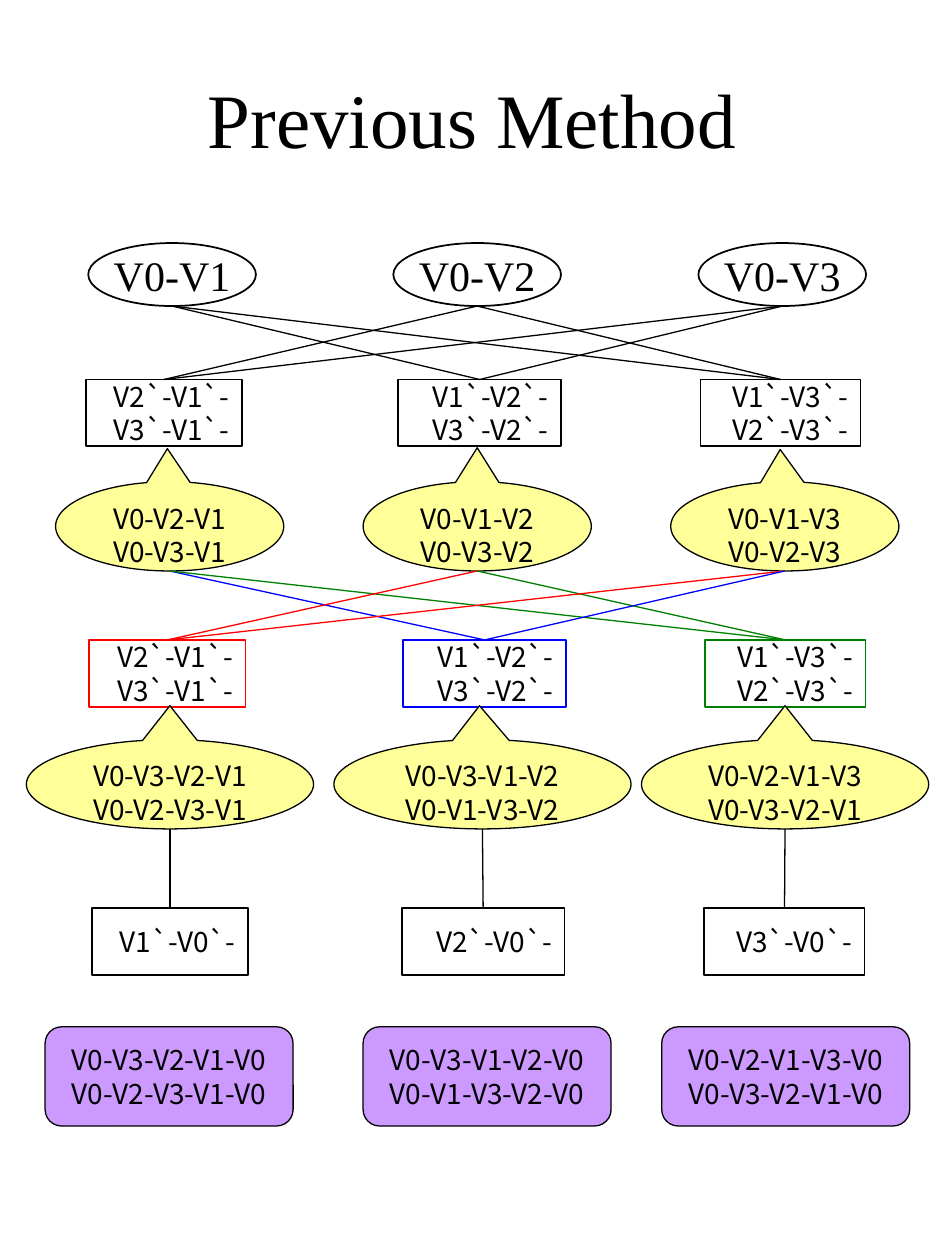
from pptx import Presentation
from pptx.dml.color import RGBColor
from pptx.enum.shapes import MSO_CONNECTOR, MSO_SHAPE
from pptx.enum.text import MSO_ANCHOR, PP_ALIGN
from pptx.oxml.ns import qn
from pptx.util import Cm, Pt
from lxml.etree import SubElement

BLACK = RGBColor(0x00, 0x00, 0x00)
RED = RGBColor(0xFF, 0x00, 0x00)
BLUE = RGBColor(0x00, 0x00, 0xFF)
GREEN = RGBColor(0x00, 0x80, 0x00)
YELLOW = RGBColor(0xFF, 0xFF, 0x99)
PURPLE = RGBColor(0xCC, 0x99, 0xFF)
SERIF, SANS = "Times New Roman", "Noto Sans CJK KR"

TITLE = "Previous Method"
STARTS = ["V0-V1", "V0-V2", "V0-V3"]
STEPS = ["V2`-V1`-\nV3`-V1`-", "V1`-V2`-\nV3`-V2`-", "V1`-V3`-\nV2`-V3`-"]
SECOND_PATHS = ["V0-V2-V1\nV0-V3-V1", "V0-V1-V2\nV0-V3-V2", "V0-V1-V3\nV0-V2-V3"]
THIRD_PATHS = ["V0-V3-V2-V1\nV0-V2-V3-V1", "V0-V3-V1-V2\nV0-V1-V3-V2",
               "V0-V2-V1-V3\nV0-V3-V2-V1"]
RETURNS = ["V1`-V0`-", "V2`-V0`-", "V3`-V0`-"]
TOURS = ["V0-V3-V2-V1-V0\nV0-V2-V3-V1-V0", "V0-V3-V1-V2-V0\nV0-V1-V3-V2-V0",
         "V0-V2-V1-V3-V0\nV0-V3-V2-V1-V0"]

STEP_WIDTHS = [3.15, 3.28, 3.23]
STEP_COLOURS = [RED, BLUE, GREEN]
PLAIN = [BLACK] * 3

START_STYLE = {"kind": MSO_SHAPE.OVAL, "weight": 1, "font": SERIF, "size": 24}
STEP_STYLE = {"kind": MSO_SHAPE.RECTANGLE, "weight": 1, "align": PP_ALIGN.RIGHT}
PATH_STYLE = {"kind": MSO_SHAPE.OVAL_CALLOUT, "fill": YELLOW, "turned": True}
TOUR_STYLE = {"kind": MSO_SHAPE.ROUNDED_RECTANGLE, "fill": PURPLE}


def write(frame, text, font, size, align):
    frame.text = text
    for paragraph in frame.paragraphs:
        paragraph.alignment = align
        for name, value in {"name": font, "size": Pt(size)}.items():
            setattr(paragraph.font, name, value)
        paragraph.font.color.rgb = BLACK


def add_node(text, left, top, width, height, colour, tail, kind, weight=0.75,
             fill=None, font=SANS, size=16, align=PP_ALIGN.CENTER, turned=False):
    node = slide.shapes.add_shape(kind, Cm(left), Cm(top), Cm(width), Cm(height))
    node.shadow.inherit = False
    if fill is None:
        node.fill.background()
    else:
        node.fill.solid()
        node.fill.fore_color.rgb = fill
    node.line.color.rgb = colour
    node.line.width = Pt(weight)
    frame = node.text_frame
    frame.word_wrap = turned
    frame.vertical_anchor = MSO_ANCHOR.TOP if turned else MSO_ANCHOR.MIDDLE
    write(frame, text, font, size, align)
    if turned:
        node.rotation = 180
        node.element.txBody.find(qn("a:bodyPr")).set("rot", "10800000")
        node.adjustments[0], node.adjustments[1] = tail
    return node


def add_row(texts, lefts, top, widths, height, style, colours=PLAIN, tails=PLAIN):
    return [add_node(text, left, top, width, height, colour, tail, **style)
            for text, left, width, colour, tail in zip(texts, lefts, widths, colours, tails)]


def link(source, target, colour):
    x, y = source.left + source.width // 2, source.top + source.height
    line = slide.shapes.add_connector(MSO_CONNECTOR.STRAIGHT, x, y, x, y)
    line.end_connect(target, 0)
    line.line.color.rgb = colour
    line.line.width = Pt(0.75)
    SubElement(line.element.spPr, qn("a:effectLst"))


def cross_link(sources, targets, colours=PLAIN):
    for i, source in enumerate(sources):
        for j, target in enumerate(targets):
            if i != j:
                link(source, target, colours[j])


def columns(first, pitch):
    return [first + pitch * i for i in range(3)]


deck = Presentation()
deck.slide_width, deck.slide_height = Cm(19.05), Cm(25.4)
slide = deck.slides.add_slide(deck.slide_layouts[6])

starts = add_row(STARTS, columns(1.78, 6.15), 4.9, [3.38] * 3, 1.27, START_STYLE)
first_steps = add_row(STEPS, [1.73, 8.03, 14.12], 7.65, STEP_WIDTHS, 1.35, STEP_STYLE)
cross_link(starts, first_steps)

second_paths = add_row(SECOND_PATHS, columns(1.12, 6.2), 9.71, [4.6] * 3, 1.8, PATH_STYLE,
                       tails=[(0.01, 0.87), (0, 0.88), (0.02, 0.86)])
second_steps = add_row(STEPS, [1.8, 8.13, 14.22], 12.9, STEP_WIDTHS, 1.35, STEP_STYLE,
                       STEP_COLOURS)
cross_link(second_paths, second_steps, STEP_COLOURS)

third_paths = add_row(THIRD_PATHS, columns(0.53, 6.2), 14.91, [5.79, 5.99, 5.79], 1.8,
                      PATH_STYLE, tails=[(0, 0.88), (0.01, 0.88), (0, 0.88)])
returns = add_row(RETURNS, [1.85, 8.1, 14.2], 18.31, STEP_WIDTHS, 1.35, STEP_STYLE)
for third_path, back in zip(third_paths, returns):
    link(third_path, back, BLACK)

add_row(TOURS, [0.91, 7.32, 13.34], 20.7, [5] * 3, 2, TOUR_STYLE)

title = slide.shapes.add_textbox(Cm(0.94), Cm(1.02), Cm(17.15), Cm(2.69)).text_frame
title.word_wrap = True
title.vertical_anchor = MSO_ANCHOR.MIDDLE
write(title, TITLE, SERIF, 44, PP_ALIGN.CENTER)

deck.save("out.pptx")
